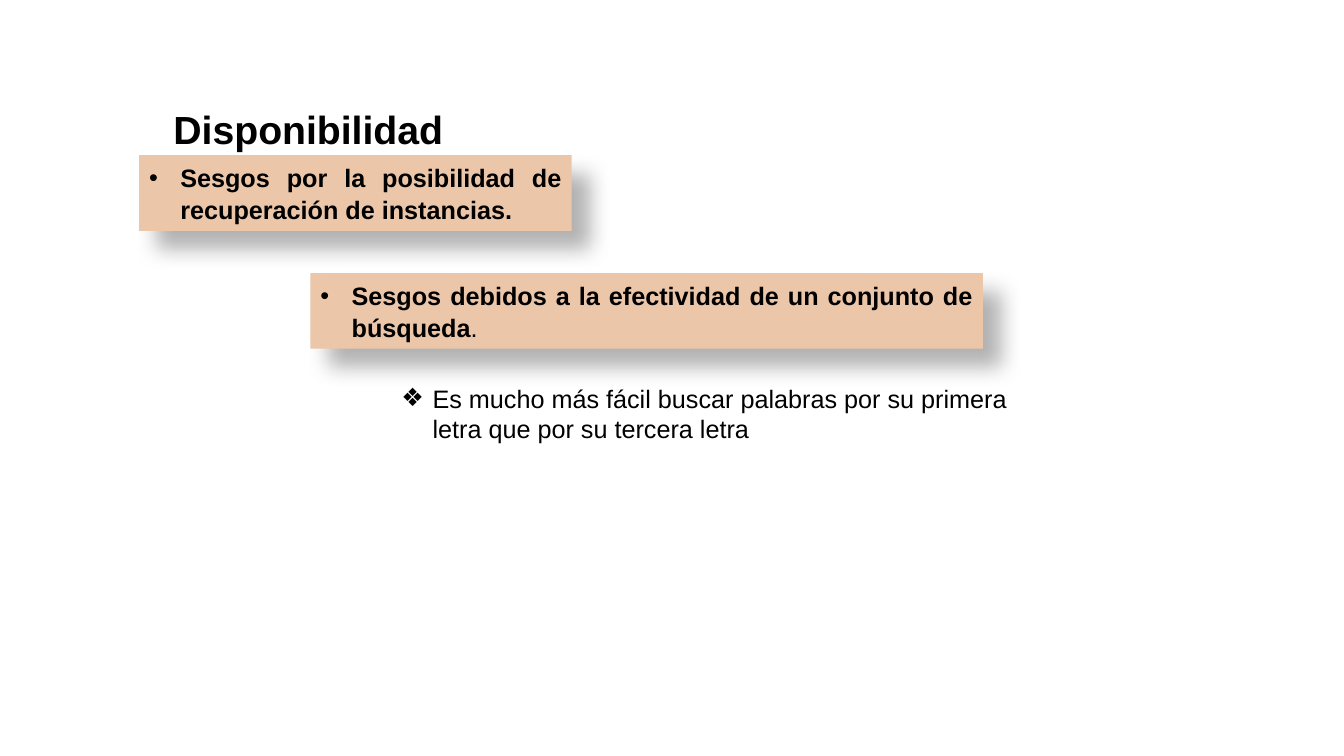
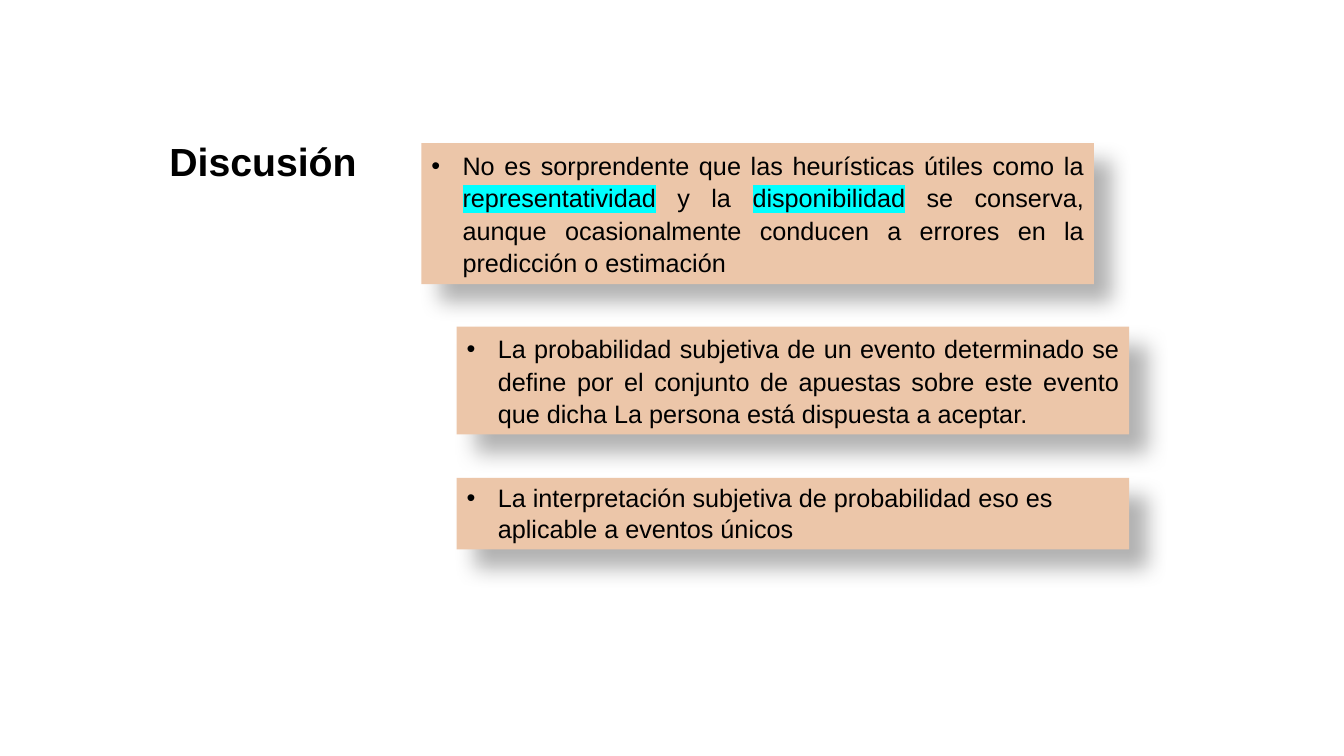
import pptx
import pptx.dml.color
import pptx.enum.shapes
import pptx.enum.text
import pptx.oxml
import pptx.oxml.ns
import pptx.util

PX = 9144
FONT = "Arial"
COLORS = {"text": "000000", "card": "ECC6A9", "shadow": "000000", "mark": "00FFFF"}
INDENT = 31
CARD_WIDTH = 667


def px(*lengths):
    return [pptx.util.Emu(length * PX) for length in lengths]


def rgb(name):
    return pptx.dml.color.RGBColor.from_string(COLORS[name])


def make_element(xml):
    tag, rest = xml.split(" ", 1)
    return pptx.oxml.parse_xml(f"<{tag} {pptx.oxml.ns.nsdecls('a')} {rest}")


def place(box, area):
    box.left, box.top, box.width, box.height = px(*area)


def style_paragraph(para, size, bold=False, justified=True):
    para.space_before = pptx.util.Pt(0)
    para.space_after = pptx.util.Pt(8 if justified else 0)
    para.line_spacing = 1.07 if justified else 1.0
    align = pptx.enum.text.PP_ALIGN
    para.alignment = align.JUSTIFY if justified else align.LEFT
    para.font.name = FONT
    para.font.size = pptx.util.Pt(size)
    para.font.bold = bold
    para.font.color.rgb = rgb("text")


def add_bullet(para, symbol):
    properties = para._p.get_or_add_pPr()
    indent = px(INDENT)[0]
    properties.set("marL", str(indent))
    properties.set("indent", str(-indent))
    properties.append(make_element(f'<a:buFont typeface="{FONT}"/>'[1:]))
    properties.append(make_element(f'<a:buChar char="{symbol}"/>'[1:]))


def add_span(para, text, style):
    span = para.add_run()
    span.text = text
    if style == "mark":
        span._r.get_or_add_rPr().append(make_element(
            f'a:highlight ><a:srgbClr val="{COLORS["mark"]}"/></a:highlight>'))
    elif style == "regular":
        span.font.bold = False


def add_shadow(box):
    box.shadow.inherit = False
    effects = box._element.spPr.find(pptx.oxml.ns.qn("a:effectLst"))
    blur, distance = pptx.util.Pt(15), pptx.util.Pt(18)
    effects.append(make_element(
        f'a:outerShdw blurRad="{blur}" dist="{distance}" dir="2700000" algn="tl" rotWithShape="0">'
        f'<a:srgbClr val="{COLORS["shadow"]}"><a:alpha val="30000"/></a:srgbClr></a:outerShdw>'))


def fill_frame(frame, wrap=True):
    frame.word_wrap = wrap
    frame.auto_size = pptx.enum.text.MSO_AUTO_SIZE.SHAPE_TO_FIT_TEXT
    frame.vertical_anchor = pptx.enum.text.MSO_ANCHOR.TOP
    return frame.paragraphs[0]


def write_bullet(box, spans, symbol="•", bold=False, justified=True):
    para = fill_frame(box.text_frame)
    add_bullet(para, symbol)
    style_paragraph(para, 18, bold, justified)
    for text, style in spans:
        add_span(para, text, style)


def add_page(deck, layout, title, area):
    page = deck.slides.add_slide(deck.slide_layouts.get_by_name(layout))
    box = page.shapes.title
    place(box, area)
    para = fill_frame(box.text_frame, wrap=False)
    add_span(para, title, None)
    style_paragraph(para, 28, bold=True)
    return page


def add_card(page, area, spans, bold=False, justified=True):
    box = page.shapes.add_shape(pptx.enum.shapes.MSO_SHAPE.RECTANGLE, *px(*area))
    box.fill.solid()
    box.fill.fore_color.rgb = rgb("card")
    box.line.fill.background()
    add_shadow(box)
    write_bullet(box, spans, bold=bold, justified=justified)


def build_availability(deck):
    page = add_page(deck, "Title and Content", "Disponibilidad", (162, 96, 291, 58))
    add_card(page, (138, 154, 429, 75),
             [("Sesgos por la posibilidad de recuperación de instancias.", None)], bold=True)
    add_card(page, (308, 271, CARD_WIDTH, 75),
             [("Sesgos debidos a la efectividad de un conjunto de búsqueda", None),
              (".", "regular")], bold=True)
    note = page.placeholders[1]
    place(note, (388, 375, CARD_WIDTH, 71))
    write_bullet(note, [("Es mucho más fácil buscar palabras por su primera letra "
                         "que por su tercera letra", None)], symbol="❖", justified=False)


def build_discussion(deck):
    page = add_page(deck, "Title Only", "Discusión", (158, 128, 208, 58))
    add_card(page, (418, 142, CARD_WIDTH, 140),
             [("No es sorprendente que las heurísticas útiles como la ", None),
              ("representatividad", "mark"),
              (" y la ", None),
              ("disponibilidad", "mark"),
              (" se conserva, aunque ocasionalmente conducen a errores "
               "en la predicción o estimación", None)])
    add_card(page, (453, 324, CARD_WIDTH, 107),
             [("La probabilidad subjetiva de un evento determinado se define por el conjunto "
               "de apuestas sobre este evento que dicha La persona está dispuesta a aceptar.", None)])
    add_card(page, (453, 474, CARD_WIDTH, 71),
             [("La interpretación subjetiva de probabilidad eso es aplicable "
               "a eventos únicos", None)], justified=False)


def main():
    deck = pptx.Presentation()
    deck.slide_width, deck.slide_height = px(1333, 750)
    build_availability(deck)
    build_discussion(deck)
    deck.save("out.pptx")


if __name__ == "__main__":
    main()
